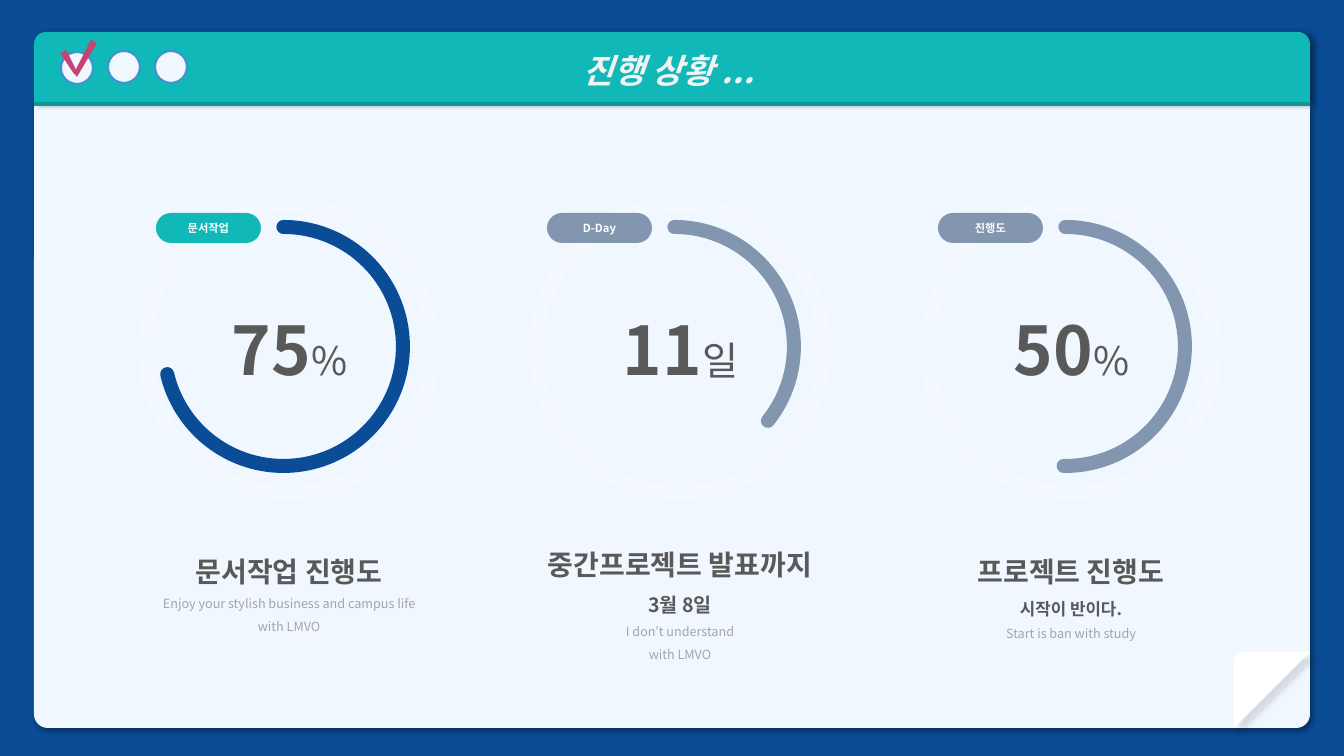
from math import cos, pi, sin
from lxml.etree import SubElement
from pptx import Presentation
from pptx.dml.color import RGBColor
from pptx.enum.shapes import MSO_CONNECTOR, MSO_SHAPE
from pptx.enum.text import MSO_ANCHOR, MSO_AUTO_SIZE, PP_ALIGN
from pptx.oxml.ns import qn
from pptx.util import Pt

PX = 914400 / 100.8
THEME = {
    "font": "Noto Sans CJK KR",
    "navy": "0A4C96", "paper": "F0F7FF", "teal": "10B8B7", "teal_edge": "0D9A97",
    "button_edge": "3E93D3", "tick": "C84374", "slate": "8296B0", "white": "FFFFFF",
    "title": "F2F2F2", "ink": "595959", "muted": "A5A5A5", "black": "000000",
    "title_size": 24, "figure_size": 48, "unit_size": 28, "heading_size": 20,
    "date_size": 14, "motto_size": 12, "note_size": 9, "pill_size": 8,
}


def style(shape, fill=None, line=None, weight=10):
    shape.shadow.inherit = False
    if fill:
        shape.fill.solid()
        shape.fill.fore_color.rgb = RGBColor.from_string(THEME[fill])
    else:
        shape.fill.background()
    if line:
        shape.line.color.rgb = RGBColor.from_string(THEME[line])
        shape.line.width = Pt(weight)
    else:
        shape.line.fill.background()
    return shape


def write(frame, rows, spacing=None):
    frame.word_wrap = True
    for index, row in enumerate(rows):
        paragraph = frame.paragraphs[0] if index == 0 else frame.add_paragraph()
        paragraph.alignment = PP_ALIGN.CENTER
        if spacing:
            paragraph.line_spacing = spacing
        for words, role, color, bold, italic in row:
            run = paragraph.add_run()
            run.text = words
            format_values = {"name": THEME["font"], "size": Pt(THEME[role]), "bold": bold, "italic": italic}
            for key, value in format_values.items():
                setattr(run.font, key, value)
            run.font.color.rgb = RGBColor.from_string(THEME[color])
            SubElement(run.font._element, qn("a:ea"), typeface=THEME["font"])


deck = Presentation()
deck.slide_width, deck.slide_height = round(1344 * PX), round(756 * PX)
slide = deck.slides.add_slide(deck.slide_layouts[6])
slide.background.fill.solid()
slide.background.fill.fore_color.rgb = RGBColor.from_string(THEME["navy"])
shapes = slide.shapes

page = style(shapes.add_shape(MSO_SHAPE.ROUND_2_SAME_RECTANGLE, *[round(v * PX) for v in (34, 104, 1276, 624)]), "paper")
page.adjustments[0], page.adjustments[1] = 0, 0.022
header = style(shapes.add_shape(MSO_SHAPE.ROUND_2_SAME_RECTANGLE, *[round(v * PX) for v in (34, 32, 1276, 72)]), "teal")
header.adjustments[0], header.adjustments[1] = 0.167, 0
header.text_frame.vertical_anchor = MSO_ANCHOR.MIDDLE
write(header.text_frame, [[("진행 상황 ... ", "title_size", "title", True, True)]])

header_edge = shapes.add_connector(MSO_CONNECTOR.STRAIGHT, *[round(v * PX) for v in (34, 104, 1310, 104)])
header_edge.line.color.rgb = RGBColor.from_string(THEME["teal_edge"])
header_edge.line.width = Pt(2.5)
SubElement(header_edge._element.spPr, qn("a:effectLst"))

for button in range(3):
    button_box = (61 + 47 * button, 52 if button == 0 else 51, 32, 32)
    style(shapes.add_shape(MSO_SHAPE.OVAL, *[round(v * PX) for v in button_box]), "paper", "button_edge", 1.5)

tick_short = style(shapes.add_shape(MSO_SHAPE.TRAPEZOID, *[round(v * PX) for v in (66, 50, 7, 25)]), "tick")
tick_short.rotation = 150
fold_corner = [(1243 - 9 * cos(step * pi / 16), 661 - 9 * sin(step * pi / 16)) for step in range(9)]
outlines = [
    ([(97, 43), (77, 77), (74, 73), (91, 40)], "tick"),
    ([(1234, 728), *fold_corner, (1310, 652)], "white"),
]
for points, fill in outlines:
    outline = shapes.build_freeform(*points[0], scale=PX)
    outline.add_line_segments(points[1:])
    page_fold = style(outline.convert_to_shape(), fill)

for raised, opacity, distance, angle in [(page, 40, 3, 45), (header, 40, 3, 0), (page_fold, 11, 6, 45)]:
    effects = raised._element.spPr.find(qn("a:effectLst"))
    cast = SubElement(effects, qn("a:outerShdw"), blurRad=str(Pt(4)), dist=str(Pt(distance)),
                      dir=str(angle * 60000), algn="tl", rotWithShape="0")
    tint = SubElement(cast, qn("a:srgbClr"), val=THEME["black"])
    SubElement(tint, qn("a:alpha"), val=str(opacity * 1000))

gauges = [
    ("문서작업", "teal", "navy", 99.97, "75", "%", (533, 288, 107), [
        ("문서작업 진행도", "heading_size"),
        ("Enjoy your stylish business and campus life with LMVO", "note_size")]),
    ("D-Day", "slate", "slate", 23.1, "11", "일", (526, 327, 142), [
        ("중간프로젝트 발표까지", "heading_size"), ("3월 8일", "date_size"),
        ("I don’t understand", "note_size"), ("with LMVO", "note_size")]),
    ("진행도", "slate", "slate", 54.5, "50", "%", (533, 288, 115), [
        ("프로젝트 진행도", "heading_size"), ("시작이 반이다.", "motto_size"),
        ("Start is ban with study", "note_size")]),
]
for column, (label, pill_fill, arc_color, arc_end, figure, unit, caption_size, caption_rows) in enumerate(gauges):
    left = 145 + 391 * column
    ring = style(shapes.add_shape(MSO_SHAPE.OVAL, *[round(v * PX) for v in (left, 205, 288, 288)]), None, "white")
    ring_color = ring.line._ln.find(qn("a:solidFill"))[0]
    SubElement(ring_color, qn("a:alpha"), val="30000")

    progress = style(shapes.add_shape(MSO_SHAPE.ARC, *[round(v * PX) for v in (left + 19, 227, 239, 239)]), None, arc_color)
    progress.adjustments[0], progress.adjustments[1] = 162, arc_end
    progress.line._ln.set("cap", "rnd")

    reading = shapes.add_textbox(*[round(v * PX) for v in (left + 64, 303, 161, 92)])
    write(reading.text_frame, [[(figure, "figure_size", "ink", True, False), (unit, "unit_size", "ink", False, False)]])

    top, width, height = caption_size
    caption = shapes.add_textbox(*[round(v * PX) for v in (left + 144 - width / 2, top, width, height)])
    write(caption.text_frame, [
        [(words, role, "muted" if role == "note_size" else "ink", role != "note_size", False)]
        for words, role in caption_rows], 1.5)
    for block in (reading, caption):
        block.text_frame.auto_size = MSO_AUTO_SIZE.SHAPE_TO_FIT_TEXT

    pill = style(shapes.add_shape(MSO_SHAPE.ROUNDED_RECTANGLE, *[round(v * PX) for v in (left + 11, 213, 105, 30)]), pill_fill)
    pill.adjustments[0] = 0.5
    pill.text_frame.vertical_anchor = MSO_ANCHOR.MIDDLE
    write(pill.text_frame, [[(label, "pill_size", "white", True, False)]])

deck.save("out.pptx")
